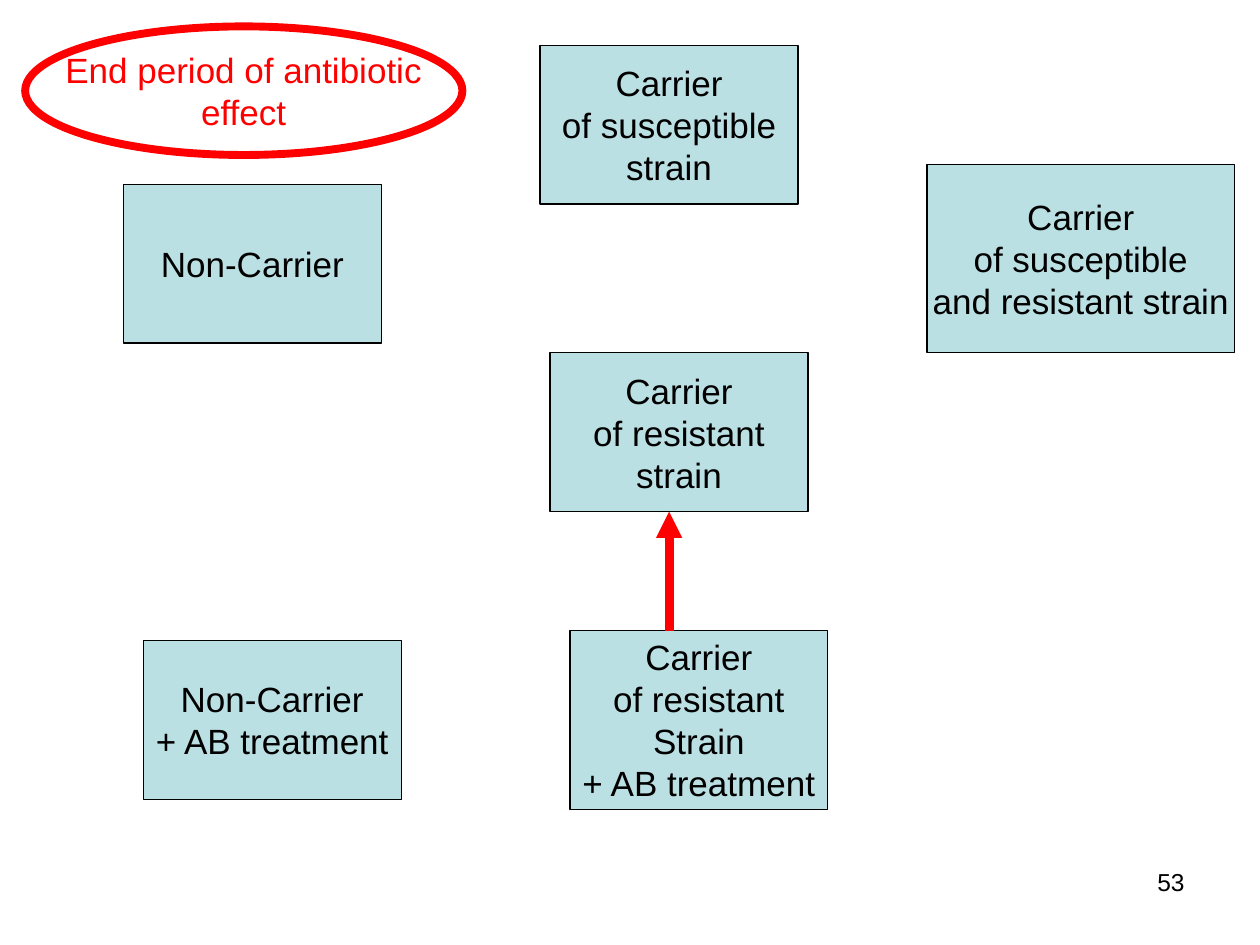
from lxml.etree import SubElement
from pptx import Presentation
from pptx.dml.color import RGBColor
from pptx.enum.shapes import MSO_CONNECTOR, MSO_SHAPE
from pptx.enum.text import MSO_ANCHOR, PP_ALIGN
from pptx.oxml.ns import qn
from pptx.util import Inches, Mm, Pt

BLACK = RGBColor(0x00, 0x00, 0x00)
WHITE = RGBColor(0xFF, 0xFF, 0xFF)
RED = RGBColor(0xFF, 0x00, 0x00)
PALE_TEAL = RGBColor(0xBB, 0xE0, 0xE3)

# States: column, row, columns wide, rows high, lines of text
STATES = [
    (0, 14, 26, 16, ["Non-Carrier"]),
    (2, 60, 26, 16, ["Non-Carrier", "+ AB treatment"]),
    (42, 0, 26, 16, ["Carrier", "of susceptible", "strain"]),
    (43, 31, 26, 16, ["Carrier", "of resistant", "strain"]),
    (81, 12, 31, 19, ["Carrier", "of susceptible", "and resistant strain"]),
    (45, 59, 26, 18, ["Carrier", "of resistant", "Strain", "+ AB treatment"]),
]
ARROW_COL, ARROW_START, ARROW_END = 55, 59, 47
EVENT = ["End period of antibiotic", "effect"]
PAGE = "53"

# Drawing grid of 2 mm cells
CELL = Mm(2)
LEFT, TOP = Inches(0.98), Inches(0.36)


def x(col):
    return LEFT + col * CELL


def y(row):
    return TOP + row * CELL


def write(sp, lines, color, size=20, align=PP_ALIGN.CENTER):
    tf = sp.text_frame
    tf.text = "\n".join(lines)
    for p in tf.paragraphs:
        p.alignment = align
        p.font.name = "Arial"
        p.font.size = Pt(size)
        p.font.color.rgb = color


def add_node(slide, kind, box, lines, fill, line, width, color):
    sp = slide.shapes.add_shape(kind, *box)
    sp.shadow.inherit = False
    sp.fill.solid()
    sp.fill.fore_color.rgb = fill
    sp.line.color.rgb = line
    sp.line.width = Pt(width)
    sp.text_frame.word_wrap = False
    sp.text_frame.vertical_anchor = MSO_ANCHOR.MIDDLE
    write(sp, lines, color)


def add_arrow(slide, start, end):
    line = slide.shapes.add_connector(MSO_CONNECTOR.STRAIGHT, *start, *end)
    line.line.color.rgb = RED
    line.line.width = Pt(5)
    SubElement(line.line._get_or_add_ln(), qn("a:tailEnd"), type="triangle")
    SubElement(line._element.spPr, qn("a:effectLst"))


def main():
    prs = Presentation()
    prs.slide_width, prs.slide_height = Inches(10), Inches(7.5)
    slide = prs.slides.add_slide(prs.slide_layouts[6])

    # Carrier states
    for col, row, cols, rows, lines in STATES:
        box = (x(col), y(row), cols * CELL, rows * CELL)
        add_node(slide, MSO_SHAPE.RECTANGLE, box, lines,
                 PALE_TEAL, BLACK, 0.75, BLACK)

    # Transition after treatment
    add_arrow(slide, (x(ARROW_COL), y(ARROW_START)),
              (x(ARROW_COL), y(ARROW_END)))

    # Event name
    box = [Inches(v) for v in (0.2, 0.21, 3.47, 1.02)]
    add_node(slide, MSO_SHAPE.OVAL, box, EVENT, WHITE, RED, 4.5, RED)

    # Page number
    box = [Inches(v) for v in (7.17, 6.83, 2.33, 0.52)]
    number = slide.shapes.add_textbox(*box)
    number.text_frame.word_wrap = True
    write(number, [PAGE], BLACK, 14, PP_ALIGN.RIGHT)

    prs.save("out.pptx")


if __name__ == "__main__":
    main()
